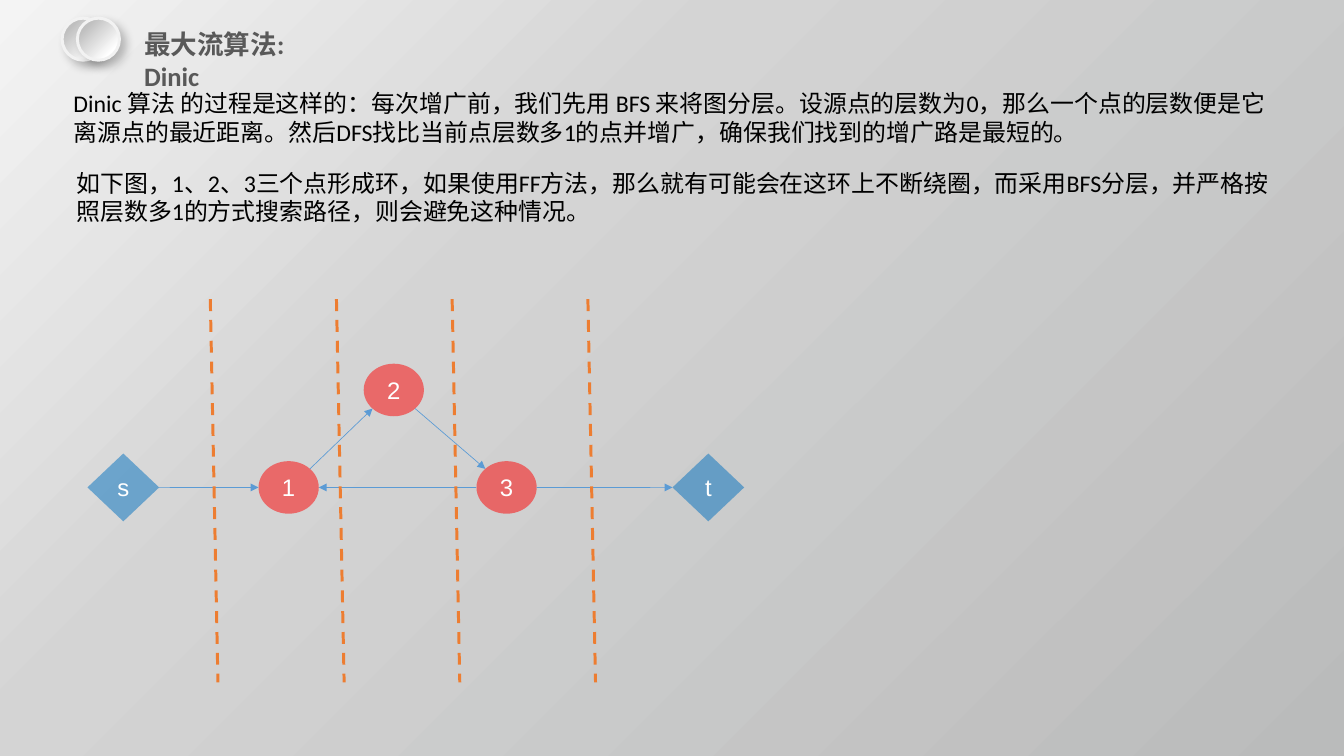
from math import sqrt

from lxml import etree
from pptx import Presentation
from pptx.dml.color import RGBColor
from pptx.enum.dml import MSO_LINE
from pptx.enum.shapes import MSO_CONNECTOR, MSO_SHAPE
from pptx.enum.text import MSO_ANCHOR, MSO_AUTO_SIZE, PP_ALIGN
from pptx.oxml.ns import qn
from pptx.util import Inches, Pt

STRAIGHT = MSO_CONNECTOR.STRAIGHT
CIRCLE = MSO_SHAPE.FLOWCHART_CONNECTOR
DIAMOND = MSO_SHAPE.FLOWCHART_DECISION
OVAL = MSO_SHAPE.OVAL

COLORS = {
    "title": "595959", "body": "000000", "label": "FFFFFF",
    "inner": "FF0000", "terminal": "0070C0",
    "edge": "5B9BD5", "layer": "ED7D31", "ring": "F2F2F2",
}
BACKGROUND = [(0, "F4F4F4"), (35, "D4D4D4"), (100, "BABBBB")]
RING_FILL = [(20, "BFBFBF"), (80, "FFFFFF"), (100, "FFFFFF")]

# text, left, top, width, height, size, colour, bold
TEXTS = [
    ("最大流算法: Dinic", 1.41, 0.24, 2.25, 0.77, 20, "title", True),
    ("Dinic 算法 的过程是这样的：每次增广前，我们先用 BFS 来将图分层。"
     "设源点的层数为0，那么一个点的层数便是它离源点的最近距离。"
     "然后DFS找比当前点层数多1的点并增广，确保我们找到的增广路是最短的。",
     0.67, 0.88, 12.71, 0.71, 18, "body", False),
    ("如下图，1、2、3三个点形成环，如果使用FF方法，那么就有可能会在这环上不断绕圈，"
     "而采用BFS分层，并严格按照层数多1的方式搜索路径，则会避免这种情况。",
     0.7, 1.71, 12.71, 0.71, 18, "body", False),
]

RING_LEFTS, RING_TOP, RING_SIZE = (0.65, 0.81), 0.19, 0.44

# Graph nodes: label -> centre x, centre y, kind
ROW, PEAK = 5.1, 4.08
NODES = {
    "1": (3.02, ROW, "inner"), "3": (5.3, ROW, "inner"), "2": (4.12, PEAK, "inner"),
    "s": (1.29, ROW, "terminal"), "t": (7.41, ROW, "terminal"),
}
KINDS = {"inner": (CIRCLE, 0.63, 0.55), "terminal": (DIAMOND, 0.75, 0.71)}

# Edges: start node, its side, end node, its side
D = sqrt(0.5)
RIGHT, LEFT = (1, 0), (-1, 0)
EDGES = [
    ("1", (D, -D), "2", (-D, D)), ("2", (D, D), "3", (-D, -D)),
    ("3", LEFT, "1", RIGHT), ("s", RIGHT, "1", LEFT), ("3", RIGHT, "t", LEFT),
]
DIAMOND_SITES = {LEFT: 1, RIGHT: 3}

LAYER_LEFTS, LAYER_TOP, LAYER_BOTTOM, LAYER_LEAN = (2.2, 3.52, 4.73, 6.15), 3.13, 7.14, 0.08


def rgb(name):
    return RGBColor.from_string(COLORS[name])


def set_gradient(fill, root, stops):
    """Run the stops from top left to bottom right."""
    fill.gradient()
    fill.gradient_angle = 315
    gs_list = next(root.iter(qn("a:gsLst")))
    for gs in list(gs_list):
        gs_list.remove(gs)
    for pos, color in stops:
        gs = etree.SubElement(gs_list, qn("a:gs"), pos=str(pos * 1000))
        etree.SubElement(gs, qn("a:srgbClr"), val=color)


def style_run(p, font, size, color, bold=False):
    f = p.runs[0].font
    f.name, f.size, f.bold = font, Pt(size), bold
    f.color.rgb = rgb(color)


def add_text(s, text, left, top, width, height, size, color, bold):
    tf = s.shapes.add_textbox(*map(Inches, (left, top, width, height))).text_frame
    tf.word_wrap = True
    tf.auto_size = MSO_AUTO_SIZE.SHAPE_TO_FIT_TEXT
    tf.text = text
    style_run(tf.paragraphs[0], "Calibri", size, color, bold)


def add_ring(s, left):
    sp = s.shapes.add_shape(OVAL, *map(Inches, (left, RING_TOP, RING_SIZE, RING_SIZE)))
    set_gradient(sp.fill, sp.element, RING_FILL)
    sp.line.color.rgb = rgb("ring")
    sp.line.width = Pt(2.25)
    sp.shadow.inherit = False
    effects = sp.element.spPr.find(qn("a:effectLst"))
    shadow = etree.SubElement(effects, qn("a:outerShdw"), blurRad=str(Pt(7)),
                              dist=str(Pt(5.9)), dir=str(45 * 60000))
    color = etree.SubElement(shadow, qn("a:srgbClr"), val="000000")
    etree.SubElement(color, qn("a:alpha"), val="23000")


def add_node(s, label, x, y, kind):
    shape, w, h = KINDS[kind]
    sp = s.shapes.add_shape(shape, *map(Inches, (x - w / 2, y - h / 2, w, h)))
    sp.fill.solid()
    sp.fill.fore_color.rgb = rgb(kind)
    color = next(sp.element.spPr.iter(qn("a:srgbClr")))
    etree.SubElement(color, qn("a:alpha"), val="50000")
    sp.line.fill.background()
    sp.shadow.inherit = False
    tf = sp.text_frame
    tf.vertical_anchor = MSO_ANCHOR.MIDDLE
    p = tf.paragraphs[0]
    p.text = label
    p.alignment = PP_ALIGN.CENTER
    style_run(p, "Arial", 18, "label")
    return sp


def add_line(s, start, end, color, width):
    line = s.shapes.add_connector(STRAIGHT, *map(Inches, start + end))
    line.line.color.rgb = rgb(color)
    line.line.width = Pt(width)
    etree.SubElement(line.element.spPr, qn("a:effectLst"))
    return line


def rim(label, side):
    """Point where the given side of a node meets its outline."""
    x, y, kind = NODES[label]
    _, w, h = KINDS[kind]
    return x + side[0] * w / 2, y + side[1] * h / 2


def main():
    prs = Presentation()
    prs.slide_width, prs.slide_height = Inches(14.06), Inches(7.91)
    s = prs.slides.add_slide(prs.slide_layouts[6])
    set_gradient(s.background.fill, s.element, BACKGROUND)

    title, *paragraphs = TEXTS
    add_text(s, *title)
    for left in RING_LEFTS:
        add_ring(s, left)
    for paragraph in paragraphs:
        add_text(s, *paragraph)

    shapes = {label: add_node(s, label, *node) for label, node in NODES.items()}
    for a, a_side, b, b_side in EDGES:
        arrow = add_line(s, rim(a, a_side), rim(b, b_side), "edge", 0.5)
        etree.SubElement(arrow.line._get_or_add_ln(), qn("a:tailEnd"), type="triangle")
        if NODES[a][2] == "terminal":
            arrow.begin_connect(shapes[a], DIAMOND_SITES[a_side])
        if NODES[b][2] == "terminal":
            arrow.end_connect(shapes[b], DIAMOND_SITES[b_side])

    for left in LAYER_LEFTS:
        divider = add_line(s, (left, LAYER_TOP), (left + LAYER_LEAN, LAYER_BOTTOM), "layer", 2.25)
        divider.line.dash_style = MSO_LINE.DASH

    prs.save("out.pptx")


if __name__ == "__main__":
    main()
